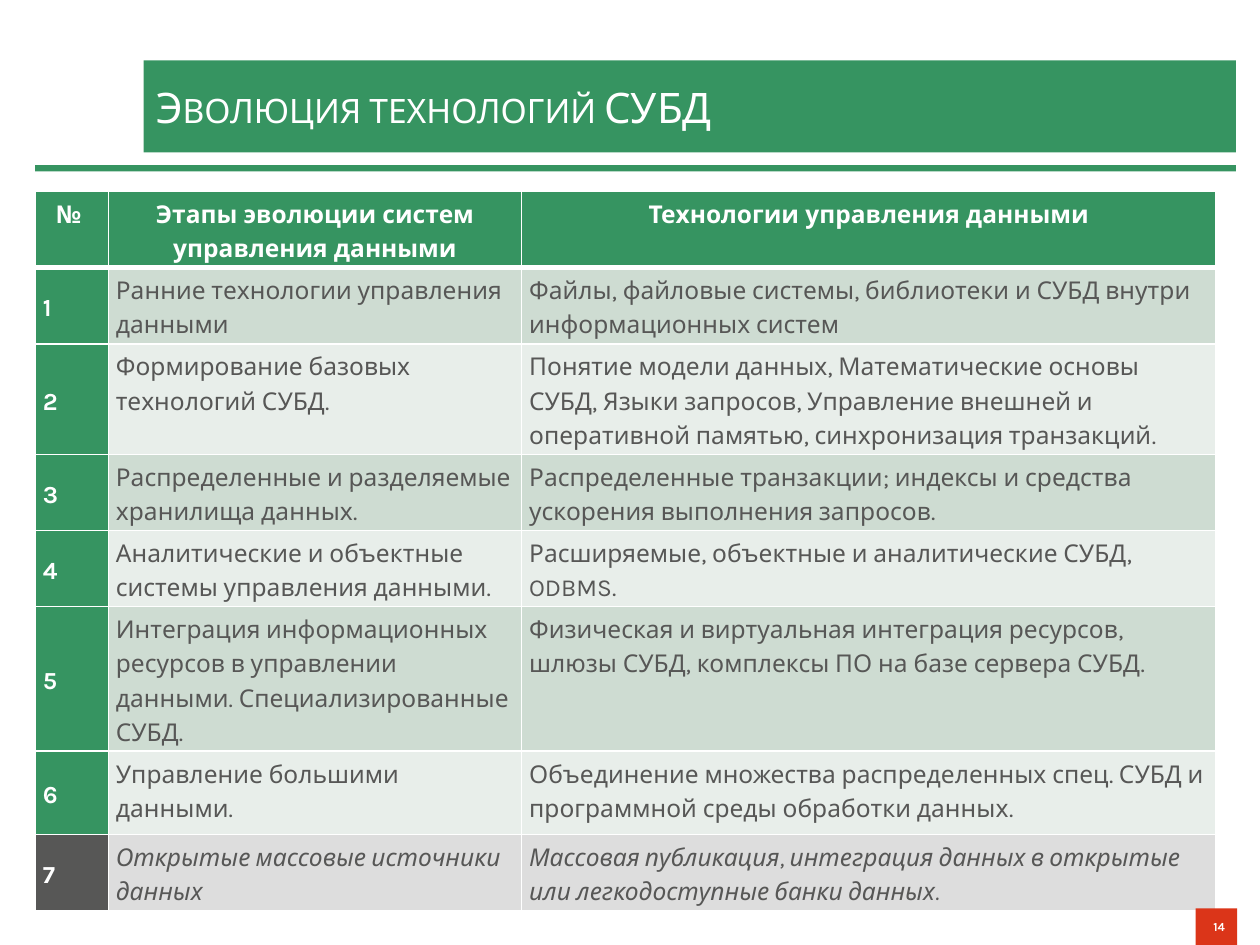
from lxml import etree
from pptx import Presentation
from pptx import util as u
from pptx.dml.color import RGBColor
from pptx.enum import shapes, text
from pptx.oxml import ns

WIDTH, HEIGHT = 10, 7.5
LEFT, RIGHT = 0.28, 9.81
FONT = "Karla"
COLORS = {
    "green": "369461",
    "grey": "575756",
    "white": "FFFFFF",
    "red": "DB3519",
    "dark band": "CEDCD2",
    "light band": "E8EEEA",
    "last band": "DDDDDD",
}
COLUMN_WIDTHS = [0.58, 3.28, 5.51]
ROW_HEIGHTS = [0.56, 0.56, 0.83, 0.56, 0.56, 0.9, 0.66, 0.56]
HEADER = ["№ ", "Этапы эволюции систем управления данными", "Технологии управления данными"]
STAGES = [
    ("Ранние технологии управления данными",
     "Файлы, файловые системы, библиотеки и СУБД внутри информационных систем"),
    ("Формирование базовых технологий СУБД.",
     "Понятие модели данных, Математические основы СУБД, Языки запросов, "
     "Управление внешней и оперативной памятью, синхронизация транзакций."),
    ("Распределенные и разделяемые хранилища данных.",
     "Распределенные транзакции; индексы и средства ускорения выполнения запросов."),
    ("Аналитические и объектные системы управления данными.",
     "Расширяемые, объектные и аналитические СУБД, ODBMS."),
    ("Интеграция информационных ресурсов в управлении данными. Специализированные СУБД.",
     "Физическая и виртуальная интеграция ресурсов, шлюзы СУБД, комплексы ПО на базе сервера СУБД."),
    ("Управление большими данными.",
     "Объединение множества распределенных спец. СУБД и программной среды обработки данных."),
    ("Открытые массовые источники данных",
     "Массовая публикация, интеграция данных в открытые или легкодоступные банки данных."),
]


def color(name):
    return RGBColor.from_string(COLORS[name])


def style_text(paragraph, size, color_name, align, bold=False, italic=False):
    paragraph.alignment = align
    for run in paragraph.runs:
        font = run.font
        font.name, font.size = FONT, u.Pt(size)
        font.bold, font.italic = bold, italic
        font.color.rgb = color(color_name)


def add_bar(slide, left, top, width, height, color_name):
    bar = slide.shapes.add_shape(
        shapes.MSO_SHAPE.RECTANGLE, *(u.Inches(length) for length in (left, top, width, height)))
    bar.shadow.inherit = False
    bar.fill.solid()
    bar.fill.fore_color.rgb = color(color_name)
    bar.line.fill.background()
    return bar


def add_title(slide, title):
    left = 1.14
    bar = add_bar(slide, left, 0.48, RIGHT - left, 0.73, "green")
    frame = bar.text_frame
    frame.text = title
    frame.vertical_anchor = text.MSO_ANCHOR.MIDDLE
    frame.margin_top = frame.margin_bottom = u.Inches(0.12)
    paragraph = frame.paragraphs[0]
    style_text(paragraph, 24, "white", text.PP_ALIGN.LEFT)
    paragraph.runs[0].font._element.set("cap", "small")


def add_page_number(slide, number):
    width, height = 0.33, 0.29
    badge = add_bar(slide, 9.49, HEIGHT - height, width, height, "red")
    frame = badge.text_frame
    frame.text = number
    frame.word_wrap = True
    frame.vertical_anchor = text.MSO_ANCHOR.MIDDLE
    style_text(frame.paragraphs[0], 7, "white", text.PP_ALIGN.RIGHT, bold=True)


def set_borders(cell, top=1, bottom=1):
    properties = cell._tc.get_or_add_tcPr()
    for tag, points in (("lnL", 1), ("lnR", 1), ("lnT", top), ("lnB", bottom)):
        line = etree.SubElement(properties, ns.qn(f"a:{tag}"), w=str(u.Pt(points)))
        fill = etree.SubElement(line, ns.qn("a:solidFill"))
        etree.SubElement(fill, ns.qn("a:srgbClr"), val=COLORS["white"])


def cell_style(row, column):
    """Return fill, text colour, alignment, bold and italic for a grid position."""
    last = row == len(STAGES)
    if row == 0:
        return "green", "white", text.PP_ALIGN.CENTER, True, False
    if column == 0:
        return "grey" if last else "green", "white", text.PP_ALIGN.JUSTIFY, True, False
    band = "last band" if last else "dark band" if row % 2 else "light band"
    return band, "grey", text.PP_ALIGN.LEFT, False, last


def fill_cell(cell, content, row, column):
    fill, text_color, align, bold, italic = cell_style(row, column)
    set_borders(cell, top=3 if row == 1 else 1, bottom=3 if row == 0 else 1)
    cell.fill.solid()
    cell.fill.fore_color.rgb = color(fill)
    cell.margin_left = cell.margin_right = u.Inches(0.06)
    cell.margin_top = cell.margin_bottom = u.Inches(0.03)
    numbered = row > 0 and column == 0
    cell.vertical_anchor = text.MSO_ANCHOR.MIDDLE if numbered else text.MSO_ANCHOR.TOP
    cell.text_frame.text = content
    paragraph = cell.text_frame.paragraphs[0]
    paragraph.line_spacing = 1.2
    style_text(paragraph, 14, text_color, align, bold, italic)


def add_stages_table(slide):
    rows = [HEADER] + [(str(number), *stage) for number, stage in enumerate(STAGES, 1)]
    table = slide.shapes.add_table(
        len(rows), len(HEADER), u.Inches(LEFT), u.Inches(1.52),
        u.Inches(sum(COLUMN_WIDTHS)), u.Inches(sum(ROW_HEIGHTS))).table
    for column, width in zip(table.columns, COLUMN_WIDTHS):
        column.width = u.Inches(width)
    for row, height in zip(table.rows, ROW_HEIGHTS):
        row.height = u.Inches(height)
    for row, contents in enumerate(rows):
        for column, content in enumerate(contents):
            fill_cell(table.cell(row, column), content, row, column)


def main():
    presentation = Presentation()
    presentation.slide_width, presentation.slide_height = u.Inches(WIDTH), u.Inches(HEIGHT)
    slide = presentation.slides.add_slide(presentation.slide_layouts[6])
    add_bar(slide, LEFT, 1.31, RIGHT - LEFT, 0.05, "green")
    add_title(slide, "Эволюция технологий СУБД")
    add_stages_table(slide)
    add_page_number(slide, "14")
    presentation.save("out.pptx")


if __name__ == "__main__":
    main()
